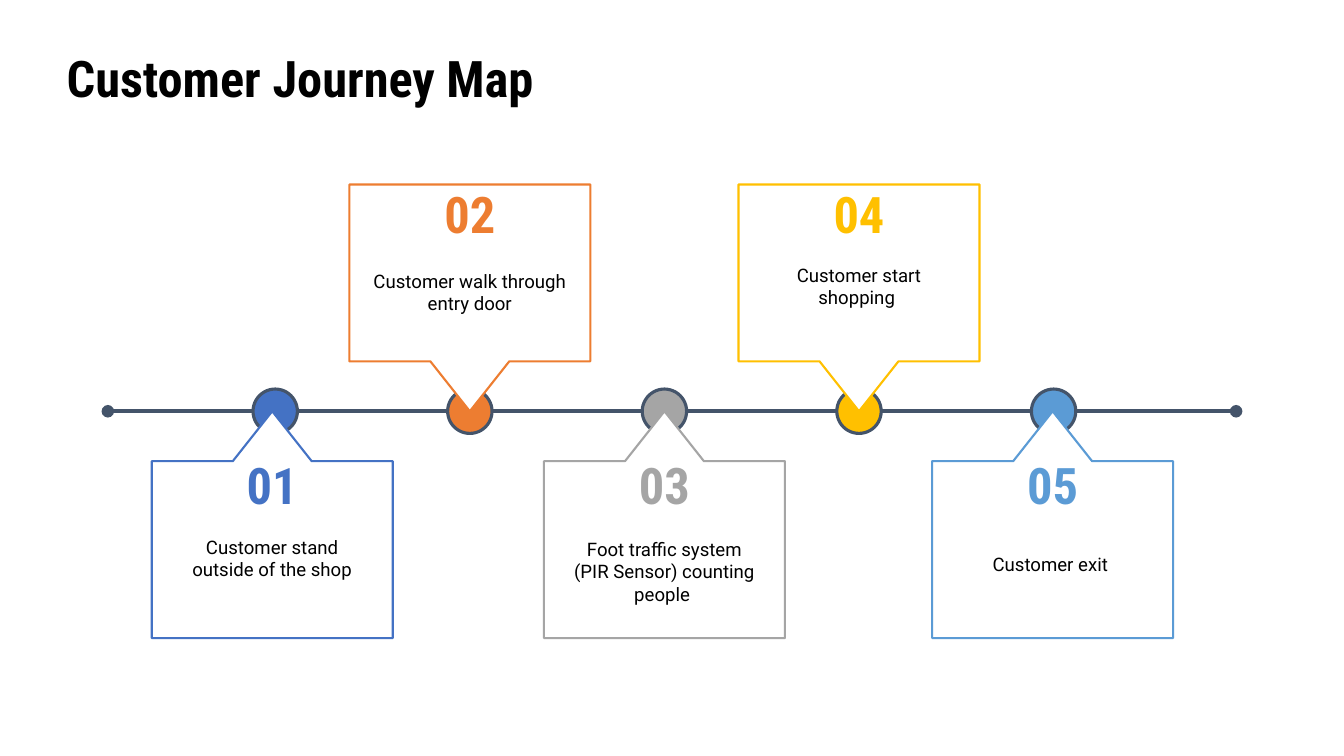
"""Build the Customer Journey Map slide: five callouts along a timeline."""
from lxml.etree import SubElement
from pptx import Presentation
from pptx.dml.color import RGBColor
from pptx.enum.shapes import MSO_CONNECTOR as Link, MSO_SHAPE as Shape
from pptx.enum.text import MSO_ANCHOR as Anchor, PP_ALIGN as Align
from pptx.oxml.ns import qn
from pptx.util import Inches, Pt

BLACK = RGBColor(0x00, 0x00, 0x00)
WHITE = RGBColor(0xFF, 0xFF, 0xFF)
SLATE = RGBColor(0x44, 0x54, 0x6A)
BLUE = RGBColor(0x44, 0x72, 0xC4)
ORANGE = RGBColor(0xED, 0x7D, 0x31)
GRAY = RGBColor(0xA5, 0xA5, 0xA5)
GOLD = RGBColor(0xFF, 0xC0, 0x00)
SKY = RGBColor(0x5B, 0x9B, 0xD5)

HEAD, BODY = "Roboto Condensed", "Roboto"
TITLE = "Customer Journey Map"
# fields: text, colour, callout centre, top of text
STEPS = [
    ("Customer stand outside of the shop", BLUE, 2.7, 5.16),
    ("Customer walk through entry door", ORANGE, 4.66, 2.52),
    ("Foot traffic system (PIR Sensor) counting people ", GRAY, 6.59, 5.29),
    ("Customer start shopping ", GOLD, 8.52, 2.46),
    ("Customer exit ", SKY, 10.44, 5.22),
]
AXIS, START, END = 4.08, 1.07, 12.26
FIRST, STEP, DOT = 2.73, 1.93, 0.44
CARD_W, CARD_H, TEXT_W = 2.39, 2.25, 2.18
ADJUST = (0.348, 0.174, 0.22, 0.799)


def add_text(slide, text, box, font, size, color, bold=False,
             align=Align.CENTER, anchor=Anchor.TOP):
    frame = slide.shapes.add_textbox(*map(Inches, box)).text_frame
    frame.word_wrap = True
    frame.vertical_anchor = anchor
    frame.margin_left = frame.margin_right = Inches(0.13)
    frame.margin_top = frame.margin_bottom = Inches(0.13)
    frame.text = text
    para = frame.paragraphs[0]
    para.alignment = align
    style = para.runs[0].font
    style.name, style.size, style.bold = font, Pt(size), bold
    style.color.rgb = color


def add_form(slide, kind, box, fill, line, width):
    form = slide.shapes.add_shape(kind, *map(Inches, box))
    form.shadow.inherit = False
    form.fill.solid()
    form.fill.fore_color.rgb = fill
    form.line.color.rgb = line
    form.line.width = Pt(width)
    return form


def add_axis(slide):
    ends = map(Inches, (START, AXIS, END, AXIS))
    axis = slide.shapes.add_connector(Link.STRAIGHT, *ends)
    axis.line.color.rgb = SLATE
    axis.line.width = Pt(3)
    stroke = axis.line._get_or_add_ln()
    for tag in ("a:headEnd", "a:tailEnd"):
        SubElement(stroke, qn(tag), type="oval")
    SubElement(axis._element.spPr, qn("a:effectLst"))


def add_card(slide, index, text, color, mid, text_top):
    below = index % 2 == 0
    top = AXIS if below else AXIS - CARD_H
    box = (mid - CARD_W / 2, top, CARD_W, CARD_H)
    card = add_form(slide, Shape.DOWN_ARROW_CALLOUT, box, WHITE, color, 1.5)
    for spot, value in enumerate(ADJUST):
        card.adjustments[spot] = value
    card.rotation = 180 if below else 0
    left = mid - TEXT_W / 2
    add_text(slide, text, (left, text_top, TEXT_W, 0.76), BODY, 13.3, BLACK,
             anchor=Anchor.MIDDLE)
    num_top = 4.38 if below else 1.69
    add_text(slide, f"{index + 1:02}", (left, num_top, TEXT_W, 0.56),
             HEAD, 36, color, bold=True)


def main():
    deck = Presentation()
    deck.slide_width, deck.slide_height = Inches(13.33), Inches(7.5)
    slide = deck.slides.add_slide(deck.slide_layouts[6])
    add_text(slide, TITLE, (0.53, 0.34, 5.99, 0.82), HEAD, 36, BLACK,
             bold=True, align=Align.LEFT)
    add_axis(slide)
    for index, (_, color, _, _) in enumerate(STEPS):
        left = FIRST + index * STEP - DOT / 2
        box = (left, AXIS - DOT / 2, DOT, DOT)
        add_form(slide, Shape.OVAL, box, color, SLATE, 2.25)
    for index, step in enumerate(STEPS):
        add_card(slide, index, *step)
    deck.save("out.pptx")


if __name__ == "__main__":
    main()
